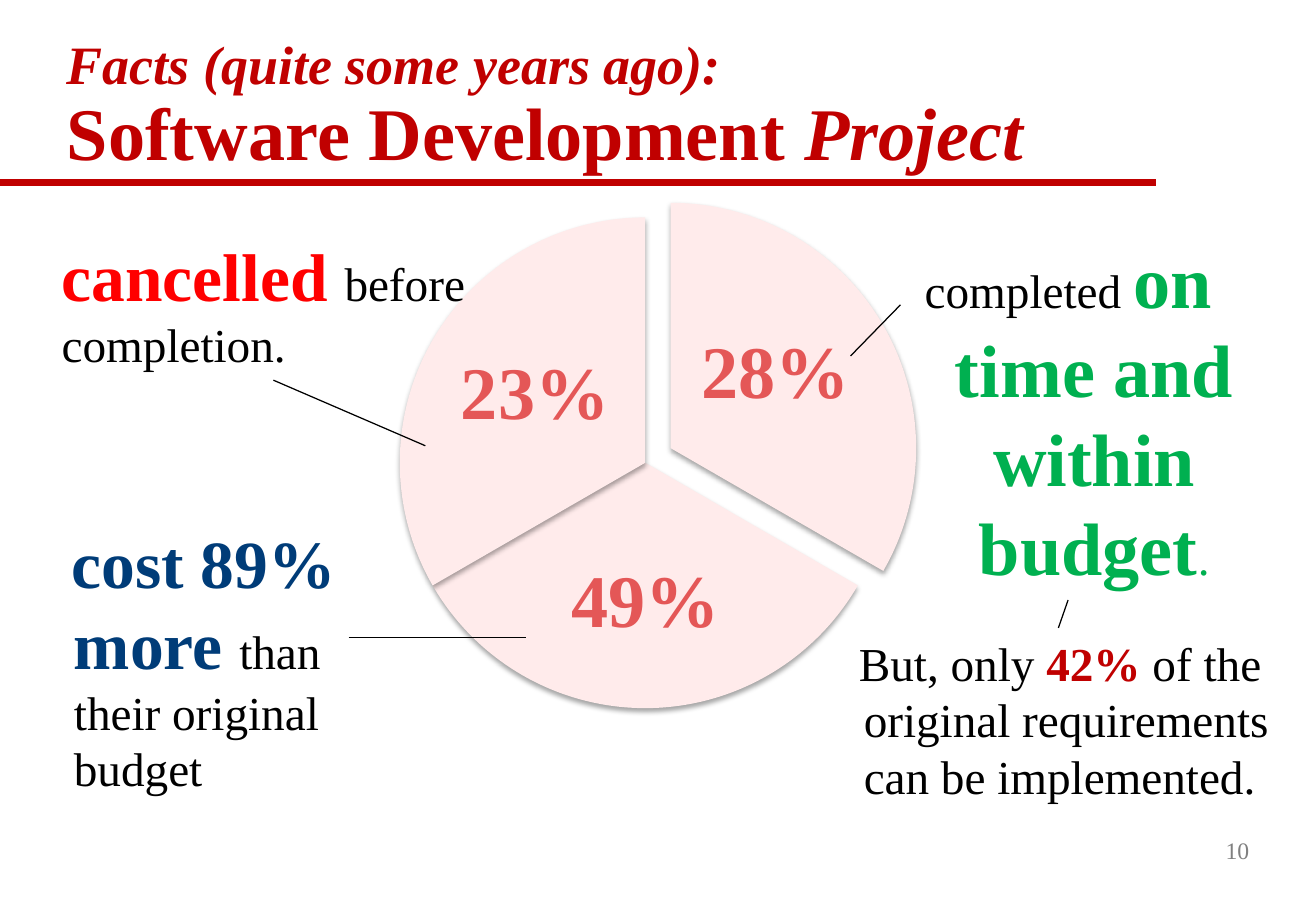
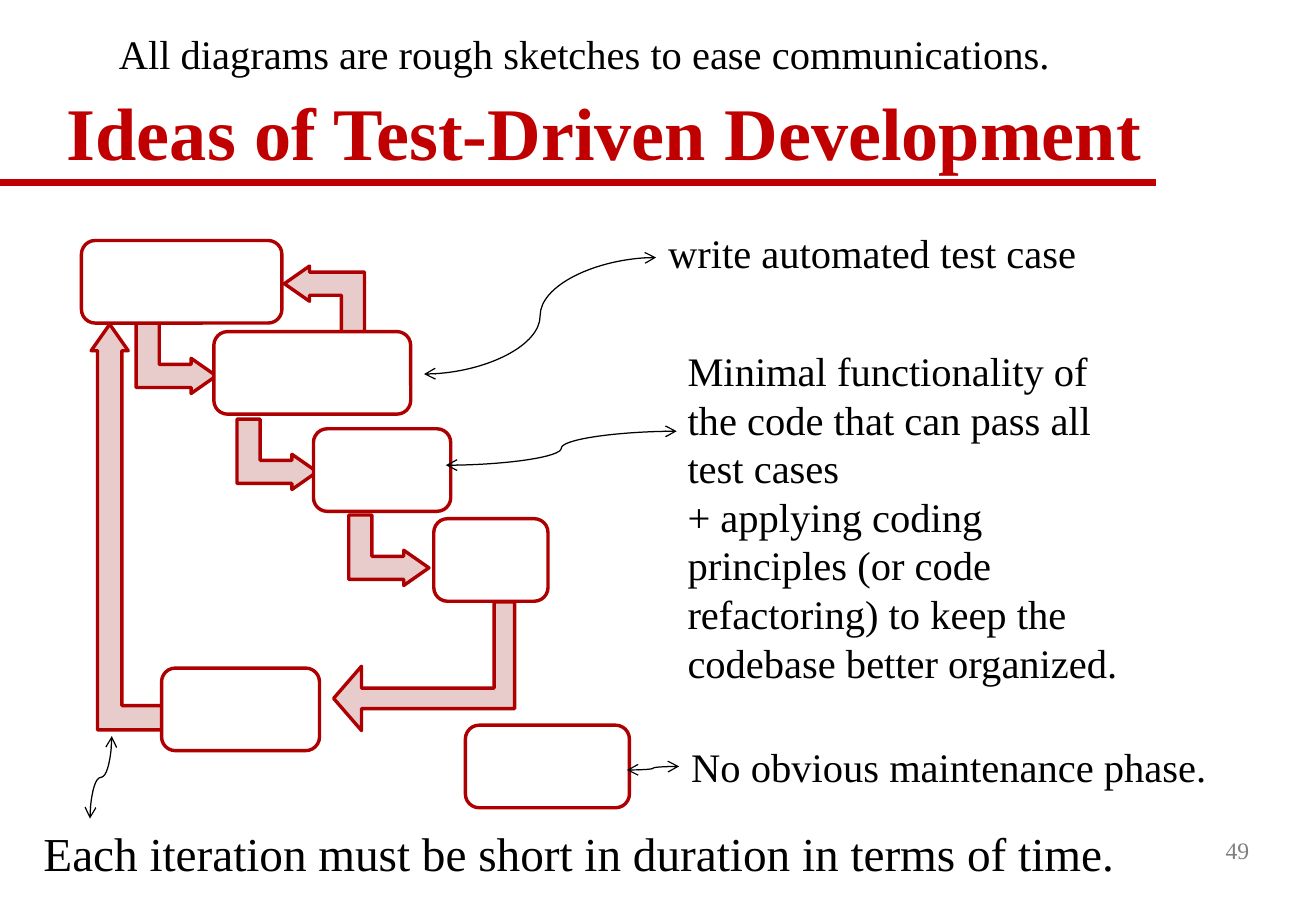
"""Builds two lecture slides: project facts and test-driven development."""
from copy import deepcopy
from dataclasses import dataclass

from lxml import etree
from pptx import Presentation
from pptx.dml.color import RGBColor
from pptx.enum import shapes, text
from pptx.oxml.ns import qn
from pptx.util import Inches, Pt


@dataclass(frozen=True)
class Theme:
    """Colours, font and type sizes of the deck."""
    font: str = "Times New Roman"
    red: str = "C00000"
    black: str = "000000"
    grey: str = "808080"
    alert: str = "FF0000"
    navy: str = "003C78"
    green: str = "00B050"
    slice: str = "FFEBEB"
    percent: str = "E45757"
    white: str = "FFFFFF"
    arrow: str = "E8CCCC"
    outline: str = "AE0000"
    title: int = 44
    kicker: int = 32
    strong: int = 40
    body: int = 28
    label: int = 24
    number: int = 14


T = Theme()
SHAPE, LINE = shapes.MSO_SHAPE, shapes.MSO_CONNECTOR
ALIGN, ANCHOR = text.PP_ALIGN, text.MSO_ANCHOR


def rgb(value):
    """Return a colour from its hex digits."""
    return RGBColor.from_string(value)


def inches(*values):
    """Return the values as lengths."""
    return [Inches(v) for v in values]


def add_run(p, words, size, color=T.black, bold=False, italic=False):
    """Add one formatted run to a paragraph."""
    r = p.add_run()
    r.text = words
    f = r.font
    f.name, f.size, f.bold, f.italic = T.font, Pt(size), bold, italic
    f.color.rgb = rgb(color)
    return r


def add_text(slide, box, paragraphs, align=ALIGN.LEFT, wrap=True, middle=False,
             indent=None, spacing=None, inset=0.1):
    """Add a text box whose paragraphs are lists of run arguments."""
    sp = slide.shapes.add_textbox(*inches(*box))
    tf = sp.text_frame
    tf.word_wrap = wrap
    tf.margin_left = tf.margin_right = Inches(inset)
    if middle:
        tf.auto_size = text.MSO_AUTO_SIZE.NONE
        tf.vertical_anchor = ANCHOR.MIDDLE
    for i, runs in enumerate(paragraphs):
        p = tf.add_paragraph() if i else tf.paragraphs[0]
        p.alignment = align
        if spacing:
            p.line_spacing = spacing
        if indent:
            margin, first = inches(*indent)
            pPr = p._p.get_or_add_pPr()
            pPr.set("marL", str(margin))
            pPr.set("indent", str(first))
        for run in runs:
            add_run(p, *run)
    return sp


def add_line(slide, start, end, color=T.black, width=0.75, kind=LINE.STRAIGHT,
             arrows=False, rotation=0):
    """Add a connector, optionally with open arrowheads at both ends."""
    cxn = slide.shapes.add_connector(kind, *inches(*start, *end))
    cxn.line.color.rgb = rgb(color)
    cxn.line.width = Pt(width)
    if arrows:
        for tag in ("a:headEnd", "a:tailEnd"):
            etree.SubElement(cxn.line._get_or_add_ln(), qn(tag), type="arrow")
    if rotation:
        cxn._element.spPr.xfrm.set("rot", str(rotation * 60000))
    etree.SubElement(cxn._element.spPr, qn("a:effectLst"))
    return cxn


def add_shape(slide, kind, box, fill, line=None, adjust=(), rotation=0, flip=None):
    """Add a preset shape without shadow."""
    sp = slide.shapes.add_shape(kind, *inches(*box))
    sp.shadow.inherit = False
    sp.fill.solid()
    sp.fill.fore_color.rgb = rgb(fill)
    if line:
        sp.line.color.rgb = rgb(line)
        sp.line.width = Pt(2)
    else:
        sp.line.fill.background()
    for i, value in enumerate(adjust):
        sp.adjustments[i] = value
    sp.rotation = rotation
    if flip:
        sp._element.spPr.xfrm.set(flip, "1")
    return sp


def add_soft_shadow(sp):
    """Give a shape a soft shadow straight below it."""
    effects = sp._element.spPr.find(qn("a:effectLst"))
    shadow = etree.SubElement(effects, qn("a:outerShdw"), blurRad=str(Pt(3.1)),
                              dist=str(Pt(1.8)), dir="5400000", rotWithShape="0")
    color = etree.SubElement(shadow, qn("a:srgbClr"), val=T.black)
    etree.SubElement(color, qn("a:alpha"), val="35000")


def add_rule(slide, layout):
    """Place the title rule on the layout, behind every slide."""
    rule = add_line(slide, (0, 1.5), (9.51, 1.5), T.red, 4)
    rule._element.nvCxnSpPr.cNvPr.id = 99
    layout.shapes._spTree.append(rule._element)


def add_frame(prs, layout, width, lines, number):
    """Add a slide with its title lines and number."""
    slide = prs.slides.add_slide(layout)
    sp = slide.shapes.title
    sp.left, sp.top, sp.width, sp.height = inches(0.45, 0.29, width, 1.21)
    tf = sp.text_frame
    tf.auto_size = text.MSO_AUTO_SIZE.NONE
    tf.vertical_anchor = ANCHOR.BOTTOM
    p = tf.paragraphs[0]
    p.alignment, p.line_spacing = ALIGN.LEFT, 0.9
    for i, runs in enumerate(lines):
        if i:
            p.add_line_break()
            p._p.findall(qn("a:br"))[-1].append(deepcopy(r._r.rPr))
        for words, size, italic in runs:
            r = add_run(p, words, size, T.red, True, italic)
    add_text(slide, (8.12, 6.75, 2.26, 0.5), [[(number, T.number, T.grey)]],
             ALIGN.RIGHT, middle=True)
    return slide


def add_pie(slide, left, top):
    """Draw three equal slices, the first pulled out, with their shares."""
    size = 4.04
    slices = [
        ("28%", 0.21, 0, (162, 18), (2.41, 0.74, 1.37, 1.35)),
        ("49%", 0, 0.12, (18, 90), (1.11, 2.67, 1.83, 1.25)),
        ("23%", 0, 0.12, (90, 162), (0.43, 0.91, 1.37, 1.35)),
    ]
    for share, dx, dy, angles, (x, y, w, h) in slices:
        sp = add_shape(slide, SHAPE.PIE, (left + dx, top + dy, size, size),
                       T.slice, adjust=angles)
        add_soft_shadow(sp)
        add_text(slide, (left + x, top + y, w, h),
                 [[(share, T.title, T.percent, True)]], ALIGN.CENTER,
                 middle=True, spacing=0.9, inset=0.06)


def add_findings(slide):
    """Add the findings around the pie and their leader lines."""
    add_text(slide, (0.41, 1.88, 3.67, 1.24), [[
        ("cancelled ", T.strong, T.alert, True),
        ("before completion.", T.body)]])
    add_text(slide, (0.08, 4.24, 3.42, 2.39), [[
        ("cost 89% more ", T.strong, T.navy, True),
        ("than their original budget", T.body)]], indent=(0.43, -0.02))
    add_text(slide, (7, 1.88, 3.58, 3.06), [[
        ("completed ", T.body),
        ("on time and within budget", T.title, T.green, True),
        (".", T.body, T.green)]], ALIGN.CENTER, indent=(0.43, -0.43))
    add_text(slide, (6.58, 5.17, 4.25, 1.51), [[
        ("But, only ", T.body),
        ("42% ", T.body, T.red, True),
        ("of the original requirements can be implemented.", T.body)]],
        indent=(0.43, -0.04))
    for start, end in [((2.25, 3.13), (3.5, 3.67)), ((7.41, 2.51), (7, 2.93)),
                       ((2.87, 5.25), (4.33, 5.25)), ((8.79, 4.94), (8.71, 5.17))]:
        add_line(slide, start, end)


def add_cycle(slide, left, top):
    """Draw the stepped boxes and the bent arrows that join them."""
    bend = (0.328, 0.25, 0.358)
    step = (0.58, 0.66)
    arrows = [
        (0.49, 0.64, *step, 90, None, bend),
        (1.71, 0.17, *step, 270, None, bend),
        (1.32, 1.43, *step, 90, None, bend),
        (2.24, 2.22, *step, 90, None, bend),
        (0.08, 0.69, 0.61, 3.34, 180, "flipV", bend),
        (2.29, 2.76, 1.06, 1.49, 270, "flipH", (0.159, 0.25, 0.217)),
    ]
    for x, y, w, h, rotation, flip, adjust in arrows:
        add_shape(slide, SHAPE.BENT_UP_ARROW, (left + x, top + y, w, h), T.arrow,
                  T.outline, adjust, rotation, flip)
    for x, y, w in [(0, 0, 1.65), (1.09, 0.75, 1.62), (1.91, 1.55, 1.13),
                    (2.9, 2.29, 0.94), (0.66, 3.52, 1.3), (3.16, 3.99, 1.35)]:
        add_shape(slide, SHAPE.ROUNDED_RECTANGLE, (left + x, top + y, w, 0.68),
                  T.white, T.outline, (0.167,))


def add_remarks(slide):
    """Add the remarks on the cycle and the curves that point to them."""
    for box, words, size in [
        ((5.4, 1.83, 3.59, 0.51), "write automated test case", T.label),
        ((5.59, 6.06, 4.56, 0.51), "No obvious maintenance phase.", T.label),
        ((0.26, 6.74, 9.1, 0.57),
         "Each iteration must be short in duration in terms of time.", T.body),
        ((0.88, 0.19, 7.93, 0.5),
         "All diagrams are rough sketches to ease communications.", T.label),
    ]:
        add_text(slide, box, [[(words, size)]], wrap=False)
    add_text(slide, (5.56, 2.8, 3.8, 2.93), [
        [("Minimal functionality of the code that can pass all test cases", T.label)],
        [("+ applying coding principles (or code refactoring) to keep the "
          "codebase better organized.", T.label)]])
    for start, end, rotation in [
        ((5.4, 2.12), (3.49, 3.08), 0),
        ((5.57, 3.55), (3.67, 3.83), 0),
        ((5.59, 6.31), (5.16, 6.34), 0),
        ((0.49, 6.31), (1.17, 6.49), 90),
    ]:
        add_line(slide, start, end, kind=LINE.CURVE, arrows=True, rotation=rotation)


def main():
    """Build and save the deck."""
    prs = Presentation()
    prs.slide_width, prs.slide_height = inches(10.83, 7.5)
    layout = prs.slide_layouts.get_by_name("Title Only")

    facts = add_frame(prs, layout, 10.22, [
        [("Facts (quite some years ago):", T.kicker, True)],
        [("Software Development ", T.title, False), ("Project", T.title, True)],
    ], "10")
    add_rule(facts, layout)
    add_pie(facts, 3.29, 1.67)
    add_findings(facts)

    ideas = add_frame(prs, layout, 9.88, [
        [("Ideas of Test-Driven Development", T.title, False)]], "49")
    add_cycle(ideas, 0.67, 1.98)
    add_remarks(ideas)

    prs.save("out.pptx")


if __name__ == "__main__":
    main()
